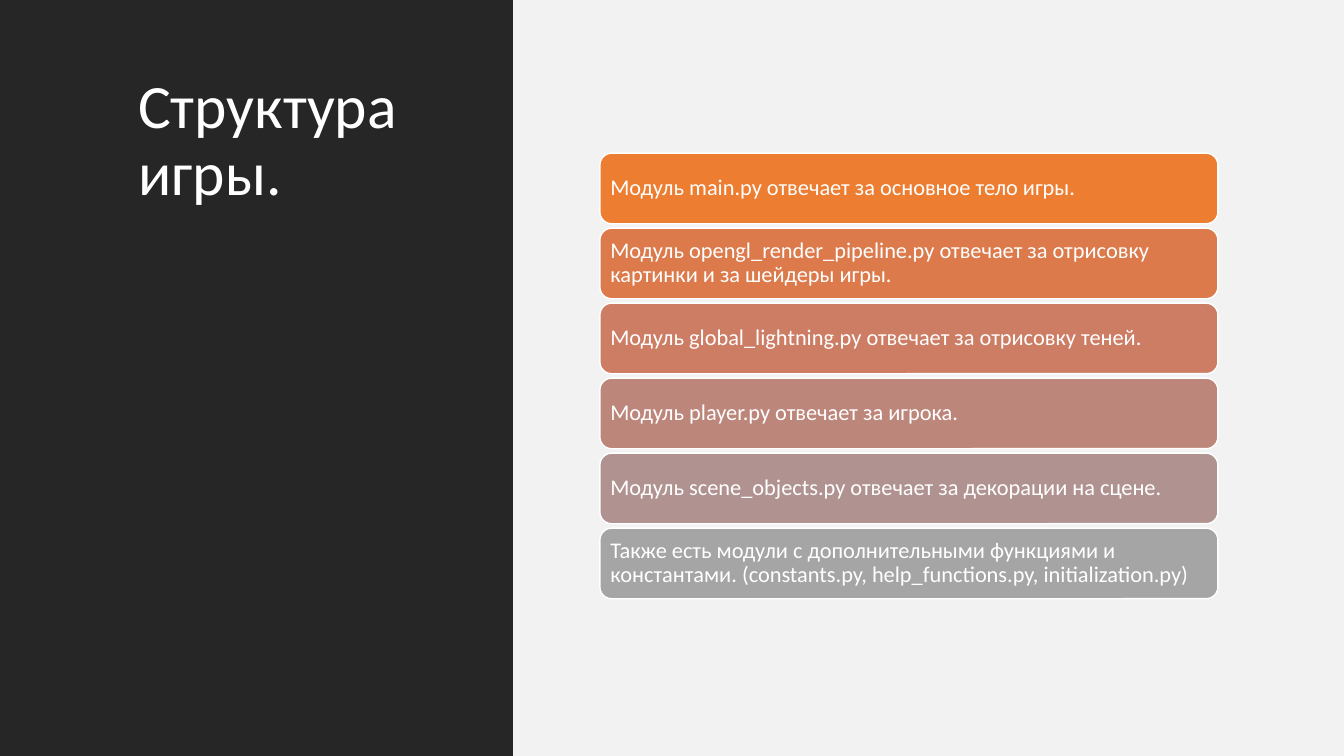
from pptx import Presentation
from pptx.dml.color import RGBColor
from pptx.enum.shapes import MSO_SHAPE
from pptx.enum.text import MSO_ANCHOR, MSO_AUTO_SIZE, PP_ALIGN
from pptx.util import Inches, Pt

RECT, ROUND = MSO_SHAPE.RECTANGLE, MSO_SHAPE.ROUNDED_RECTANGLE
TOP, MIDDLE = MSO_ANCHOR.TOP, MSO_ANCHOR.MIDDLE
LEFT = PP_ALIGN.LEFT
NO_FIT = MSO_AUTO_SIZE.NONE

FONT = "Calibri"
WHITE = RGBColor(0xFF, 0xFF, 0xFF)
DARK = RGBColor(0x26, 0x26, 0x26)
LIGHT = RGBColor(0xF2, 0xF2, 0xF2)

WIDTH, HEIGHT, SPLIT = 13.33, 7.5, 5.09
BAR_LEFT, BAR_WIDTH, BAR_HEIGHT = 5.95, 6.13, 0.7
FIRST_TOP, LAST_TOP = 1.52, 5.24

MODULES = [
    ("Модуль main.py отвечает за основное тело игры.",
     RGBColor(0xED, 0x7D, 0x31)),
    ("Модуль opengl_render_pipeline.py отвечает за отрисовку картинки и за шейдеры игры.",
     RGBColor(0xDC, 0x7A, 0x4B)),
    ("Модуль global_lightning.py отвечает за отрисовку теней.",
     RGBColor(0xCC, 0x7D, 0x64)),
    ("Модуль player.py отвечает за игрока.",
     RGBColor(0xBD, 0x86, 0x7B)),
    ("Модуль scene_objects.py отвечает за декорации на сцене.",
     RGBColor(0xB0, 0x93, 0x91)),
    ("Также есть модули с дополнительными функциями и константами. "
     "(constants.py, help_functions.py, initialization.py)",
     RGBColor(0xA5, 0xA5, 0xA5)),
]


def add_box(shapes, kind, left, top, width, height, color):
    box = shapes.add_shape(kind, Inches(left), Inches(top), Inches(width), Inches(height))
    box.shadow.inherit = False
    box.fill.solid()
    box.fill.fore_color.rgb = color
    box.line.fill.background()
    return box


def set_text(shape, text, size, anchor):
    frame = shape.text_frame
    frame.text = text
    frame.word_wrap = True
    frame.auto_size = NO_FIT
    frame.vertical_anchor = anchor
    para = frame.paragraphs[0]
    para.alignment = LEFT
    para.line_spacing = 0.9
    font = para.runs[0].font
    font.name, font.size, font.color.rgb = FONT, Pt(size), WHITE


def add_panel(slide, left, width, color):
    panel = add_box(slide.shapes, RECT, left, 0, width, HEIGHT, color)
    # Panels lie behind the title
    slide.shapes.title.element.addprevious(panel.element)


def add_title(slide, text):
    title = slide.shapes.title
    title.left, title.top = Inches(1.27), Inches(0.7)
    title.width, title.height = Inches(3.17), Inches(6.1)
    set_text(title, text, 44, TOP)


def add_bar(shapes, top, text, color):
    bar = add_box(shapes, ROUND, BAR_LEFT, top, BAR_WIDTH, BAR_HEIGHT, color)
    bar.line.color.rgb = WHITE
    bar.line.width = Pt(1)
    frame = bar.text_frame
    frame.margin_left = frame.margin_right = Inches(0.07)
    frame.margin_top = frame.margin_bottom = Inches(0.07)
    set_text(bar, text, 16, MIDDLE)


def main():
    prs = Presentation()
    prs.slide_width, prs.slide_height = Inches(WIDTH), Inches(HEIGHT)
    slide = prs.slides.add_slide(prs.slide_layouts[5])

    # Two panels and the title
    add_panel(slide, 0, SPLIT, DARK)
    add_panel(slide, SPLIT, WIDTH - SPLIT, LIGHT)
    add_title(slide, "Структура игры.")

    # List of modules, evenly spaced
    group = slide.shapes.add_group_shape()
    pitch = (LAST_TOP - FIRST_TOP) / (len(MODULES) - 1)
    for row, (text, color) in enumerate(MODULES):
        add_bar(group.shapes, FIRST_TOP + row * pitch, text, color)

    prs.save("out.pptx")


if __name__ == "__main__":
    main()
